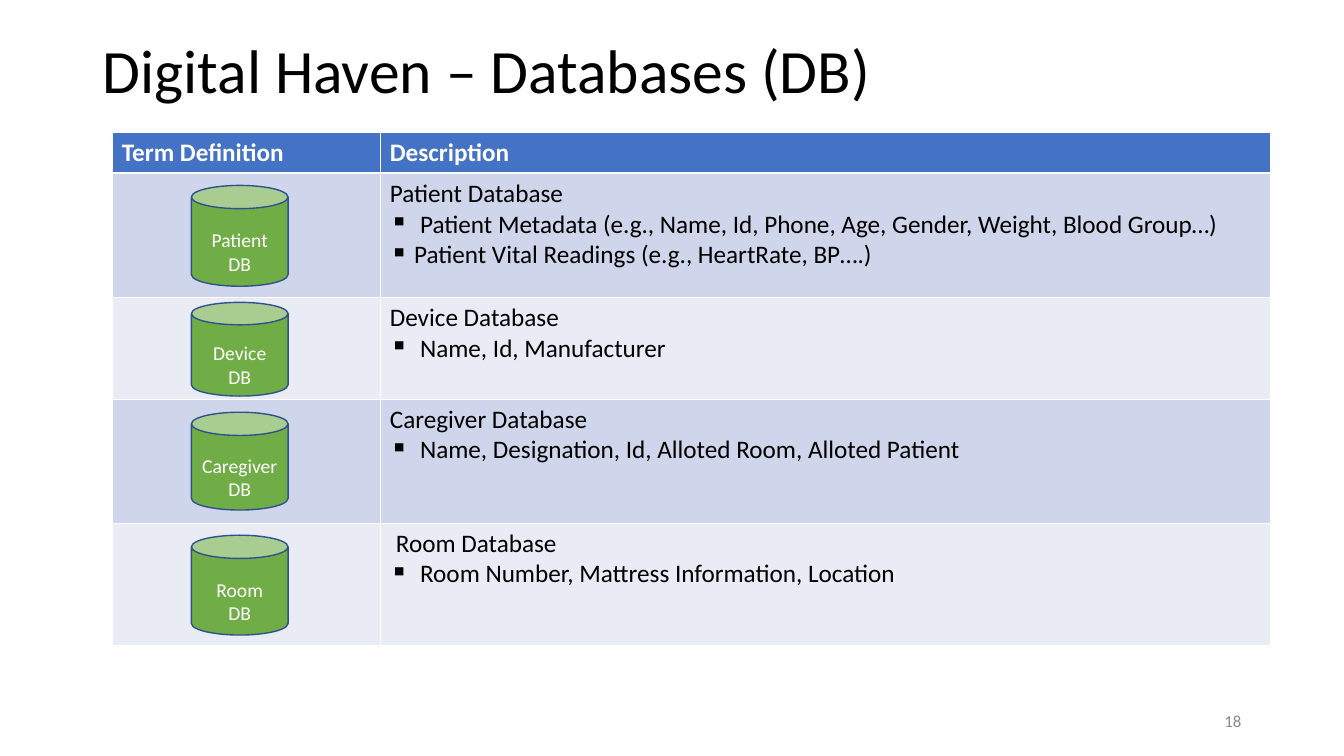
from dataclasses import dataclass

from pptx import Presentation
from pptx.dml.color import RGBColor
from pptx.enum.shapes import MSO_SHAPE
from pptx.enum.text import MSO_ANCHOR, MSO_AUTO_SIZE, PP_ALIGN
from pptx.oxml.ns import qn
from pptx.util import Inches, Pt
from lxml import etree

CAN = MSO_SHAPE.CAN
MIDDLE = MSO_ANCHOR.MIDDLE
NO_AUTOFIT = MSO_AUTO_SIZE.NONE
LEFT, CENTER, RIGHT = PP_ALIGN.LEFT, PP_ALIGN.CENTER, PP_ALIGN.RIGHT
TITLE_ONLY = 5


@dataclass(frozen=True)
class Theme:
    font: str = "Calibri"
    text: str = "000000"
    white: str = "FFFFFF"
    header: str = "4472C4"
    bands: tuple = ("CFD5EA", "E9EBF5")
    can: str = "70AD47"
    can_line: str = "2F528F"
    muted: str = "898989"
    title_size: int = 44
    table_size: int = 18
    can_size: int = 14
    number_size: int = 12
    border: float = 0.45
    header_border: float = 1.47


THEME = Theme()

COLUMN_WIDTHS = (2.66, 8.84)
ROW_HEIGHTS = (0.41, 1.23, 1.01, 1.23, 1.21)
HEADINGS = ("Term Definition", "Description")

# Heading indent, heading, and bullets as (text indent, text)
DESCRIPTIONS = (
    (0, "Patient Database", (
        (0.3, "Patient Metadata (e.g., Name, Id, Phone, Age, Gender, Weight, Blood Group…)"),
        (0.24, "Patient Vital Readings (e.g., HeartRate, BP….)"))),
    (0, "Device Database", ((0.3, "Name, Id, Manufacturer"),)),
    (0, "Caregiver Database", (
        (0.3, "Name, Designation, Id, Alloted Room, Alloted Patient"),)),
    (0.06, "Room Database", ((0.3, "Room Number, Mattress Information, Location"),)),
)

# Top, height, lines of the label
DATABASE_CANS = (
    (1.84, 1, ("Patient DB",)),
    (3, 0.93, ("Device DB",)),
    (4.09, 0.97, ("Caregiver", "DB")),
    (5.31, 0.99, ("Room", "DB")),
)


def color(value):
    return RGBColor.from_string(value)


def add_run(paragraph, text, size, text_color, bold=False):
    run = paragraph.add_run()
    run.text = text
    run.font.name = THEME.font
    run.font.size = Pt(size)
    run.font.bold = bold
    run.font.color.rgb = color(text_color)


def next_paragraph(text_frame, index):
    return text_frame.paragraphs[0] if index == 0 else text_frame.add_paragraph()


def set_indent(paragraph, margin, hanging=False):
    properties = paragraph._p.get_or_add_pPr()
    properties.set("marL", str(Inches(margin)))
    properties.set("indent", str(-Inches(margin) if hanging else 0))


def add_bullet(paragraph):
    properties = paragraph._p.get_or_add_pPr()
    bullet_color = etree.SubElement(properties, qn("a:buClr"))
    etree.SubElement(bullet_color, qn("a:srgbClr"), val=THEME.text)
    etree.SubElement(properties, qn("a:buChar"), char="▪")


def style_cell(cell, fill, top, bottom):
    """Draw the four white borders, then fill the cell."""
    properties = cell._tc.get_or_add_tcPr()
    widths = {"L": THEME.border, "R": THEME.border, "T": top, "B": bottom}
    for side, width in widths.items():
        line = etree.SubElement(properties, qn(f"a:ln{side}"), w=str(Pt(width)))
        line_fill = etree.SubElement(line, qn("a:solidFill"))
        etree.SubElement(line_fill, qn("a:srgbClr"), val=THEME.white)
    cell.fill.solid()
    cell.fill.fore_color.rgb = color(fill)


def add_title(slide, text):
    title = slide.shapes.title
    title.left, title.top = Inches(0.92), Inches(0.4)
    title.width, title.height = Inches(11.5), Inches(0.66)
    text_frame = title.text_frame
    text_frame.auto_size = NO_AUTOFIT
    text_frame.vertical_anchor = MIDDLE
    paragraph = text_frame.paragraphs[0]
    paragraph.alignment = LEFT
    paragraph.line_spacing = 0.9
    add_run(paragraph, text, THEME.title_size, THEME.text)


def fill_description(text_frame, indent, heading, bullets):
    paragraph = text_frame.paragraphs[0]
    set_indent(paragraph, indent)
    add_run(paragraph, heading, THEME.table_size, THEME.text)
    for bullet_indent, text in bullets:
        paragraph = text_frame.add_paragraph()
        set_indent(paragraph, bullet_indent, hanging=True)
        add_bullet(paragraph)
        add_run(paragraph, text, THEME.table_size, THEME.text)


def add_database_table(slide):
    table = slide.shapes.add_table(
        len(ROW_HEIGHTS), len(COLUMN_WIDTHS), Inches(1.11), Inches(1.31),
        Inches(sum(COLUMN_WIDTHS)), Inches(sum(ROW_HEIGHTS))).table
    for column, width in zip(table.columns, COLUMN_WIDTHS):
        column.width = Inches(width)
    for index, (row, height) in enumerate(zip(table.rows, ROW_HEIGHTS)):
        row.height = Inches(height)
        fill = THEME.header if index == 0 else THEME.bands[(index - 1) % 2]
        top = THEME.header_border if index == 1 else THEME.border
        bottom = THEME.header_border if index == 0 else THEME.border
        for cell in row.cells:
            style_cell(cell, fill, top, bottom)
    for cell, heading in zip(table.rows[0].cells, HEADINGS):
        add_run(cell.text_frame.paragraphs[0], heading,
                THEME.table_size, THEME.white, bold=True)
    for index, description in enumerate(DESCRIPTIONS, start=1):
        fill_description(table.cell(index, 1).text_frame, *description)


def add_database_can(slide, top, height, lines):
    can = slide.shapes.add_shape(
        CAN, Inches(1.9), Inches(top), Inches(0.96), Inches(height))
    can.adjustments[0] = 0.24
    can.shadow.inherit = False
    can.fill.solid()
    can.fill.fore_color.rgb = color(THEME.can)
    can.line.color.rgb = color(THEME.can_line)
    can.line.width = Pt(1)
    text_frame = can.text_frame
    text_frame.word_wrap = True
    text_frame.vertical_anchor = MIDDLE
    text_frame.margin_top, text_frame.margin_bottom = Inches(0.2), Inches(0)
    for index, line in enumerate(lines):
        paragraph = next_paragraph(text_frame, index)
        paragraph.alignment = CENTER
        add_run(paragraph, line, THEME.can_size, THEME.white)


def add_slide_number(slide, number):
    box = slide.shapes.add_textbox(Inches(9.42), Inches(6.95), Inches(3), Inches(0.4))
    text_frame = box.text_frame
    text_frame.word_wrap = True
    text_frame.vertical_anchor = MIDDLE
    paragraph = text_frame.paragraphs[0]
    paragraph.alignment = RIGHT
    add_run(paragraph, number, THEME.number_size, THEME.muted)


def main():
    presentation = Presentation()
    presentation.slide_width = Inches(13.34)
    presentation.slide_height = Inches(7.5)
    slide = presentation.slides.add_slide(presentation.slide_layouts[TITLE_ONLY])
    add_title(slide, "Digital Haven – Databases (DB)")
    add_database_table(slide)
    for top, height, lines in DATABASE_CANS:
        add_database_can(slide, top, height, lines)
    add_slide_number(slide, "18")
    presentation.save("out.pptx")


if __name__ == "__main__":
    main()
